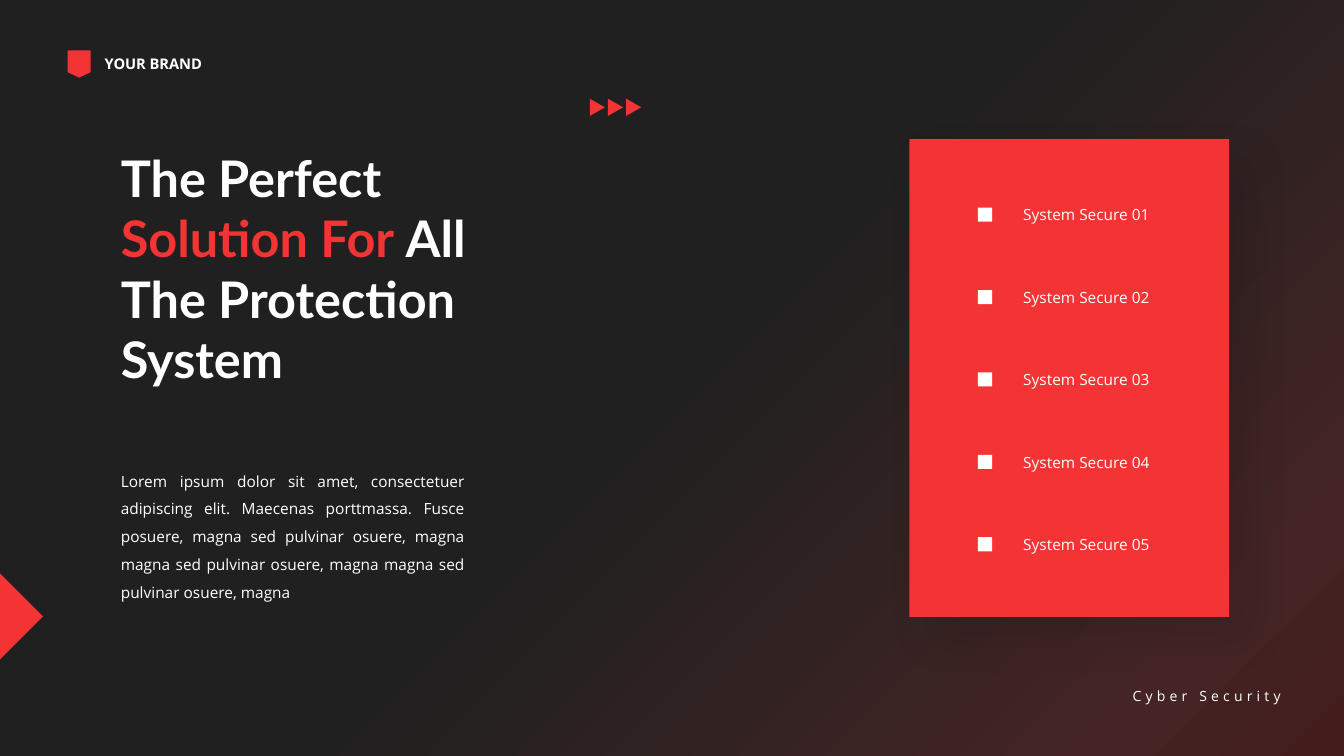
from pptx import Presentation
from pptx.dml.color import RGBColor
from pptx.enum import shapes, text
from pptx.oxml import parse_xml
from pptx.oxml.ns import nsdecls, qn
from pptx import util as u

COLORS = {"red": "F43334", "white": "FFFFFF", "dark": "202020",
          "wine": "442424", "rust": "441C1C", "black": "000000"}
STOPS = [(0, "dark"), (50, "dark"), (88, "wine"), (100, "rust")]
BRAND = "YOUR BRAND"
FOOTER = "Cyber Security"
TITLE = [("The Perfect ", "white"), ("Solution For ", "red"),
         ("All The Protection System", "white")]
BODY = ("Lorem ipsum dolor sit amet, consectetuer adipiscing elit. "
        "Maecenas porttmassa. Fusce posuere, magna sed pulvinar osuere, "
        "magna magna sed pulvinar osuere, magna magna sed pulvinar osuere, magna")
ITEMS = [f"System Secure {n:02}" for n in range(1, 6)]
SPAN = 3.27  # from the first bullet to the last

SHAPE = shapes.MSO_SHAPE
ALIGN = text.PP_ALIGN


def rgb(name):
    return RGBColor.from_string(COLORS[name])


def add_form(slide, kind, box, color="red", turn=0):
    form = slide.shapes.add_shape(kind, *map(u.Inches, box))
    form.shadow.inherit = False
    form.fill.solid()
    form.fill.fore_color.rgb = rgb(color)
    form.line.fill.background()
    form.rotation = turn
    return form


def add_text(slide, box, parts, size, face="Open Sans", bold=False,
             align=ALIGN.LEFT, wrap=True):
    """Add one paragraph made of (words, color) parts and return it."""
    frame = slide.shapes.add_textbox(*map(u.Inches, box)).text_frame
    frame.word_wrap = wrap
    para = frame.paragraphs[0]
    para.alignment = align
    para.font.size = u.Pt(size)
    para.font.name = face
    para.font.bold = bold
    for words, color in parts:
        run = para.add_run()
        run.text = words
        run.font.color.rgb = rgb(color)
    return para


def paint_back(slide):
    fill = slide.background.fill
    fill.gradient()
    fill.gradient_angle = 315
    stops = slide.element.find(".//" + qn("a:gsLst"))
    for old in list(stops):
        stops.remove(old)
    for pos, color in STOPS:
        stops.append(parse_xml(
            f'<a:gs {nsdecls("a")} pos="{pos * 1000}">'
            f'<a:srgbClr val="{COLORS[color]}"/></a:gs>'))


def add_shadow(form):
    effects = form.element.spPr.find(qn("a:effectLst"))
    effects.append(parse_xml(
        f'<a:outerShdw {nsdecls("a")} blurRad="{u.Pt(30)}" dist="{u.Pt(20)}" '
        f'dir="{45 * 60000}" algn="tl" rotWithShape="0">'
        f'<a:srgbClr val="{COLORS["black"]}"><a:alpha val="10000"/></a:srgbClr>'
        '</a:outerShdw>'))


def main():
    deck = Presentation()
    deck.slide_width, deck.slide_height = u.Inches(13.33), u.Inches(7.5)
    slide = deck.slides.add_slide(deck.slide_layouts[6])
    paint_back(slide)

    add_text(slide, (0.94, 0.49, 1.18, 0.28), [(BRAND, "white")], 10.5,
             bold=True, wrap=False)
    add_form(slide, SHAPE.FLOWCHART_OFFPAGE_CONNECTOR, (0.67, 0.5, 0.23, 0.27))
    foot = add_text(slide, (11.01, 6.77, 1.79, 0.27), [(FOOTER, "white")], 10,
                    align=ALIGN.RIGHT, wrap=False)
    foot.runs[0].font._element.set("spc", "300")
    add_form(slide, SHAPE.RIGHT_TRIANGLE, (-0.31, 5.81, 0.61, 0.61), turn=225)

    add_text(slide, (1.1, 1.41, 4.01, 2.52), TITLE, 36, "Lato", True)
    body = add_text(slide, (1.1, 4.54, 3.61, 1.49), [(BODY, "white")], 11,
                    align=ALIGN.JUSTIFY)
    body.line_spacing = 1.5

    add_shadow(add_form(slide, SHAPE.RECTANGLE, (9.02, 1.38, 3.17, 4.74)))
    step = SPAN / (len(ITEMS) - 1)
    for i, item in enumerate(ITEMS):
        top = 2.06 + i * step
        add_form(slide, SHAPE.RECTANGLE, (9.7, top, 0.14, 0.14), "white")
        add_text(slide, (10.05, top - 0.07, 1.69, 0.29), [(item, "white")], 11,
                 align=ALIGN.JUSTIFY)

    for i in range(3):
        add_form(slide, SHAPE.ISOSCELES_TRIANGLE,
                 (5.84 + i * 0.18, 0.99, 0.17, 0.15), turn=90)

    deck.save("out.pptx")


if __name__ == "__main__":
    main()
